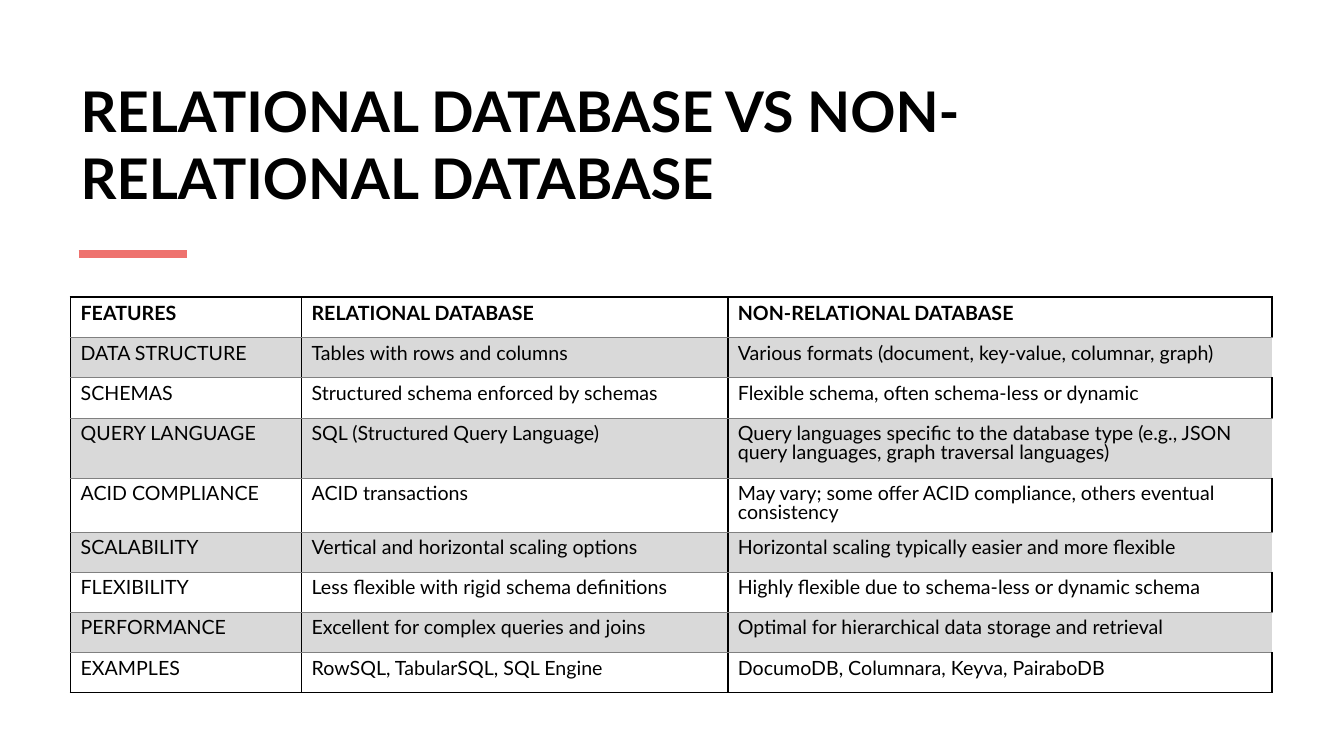
import pptx
import pptx.util
import pptx.dml.color
import pptx.enum.shapes
import pptx.enum.text
import pptx.oxml
import pptx.oxml.ns

Pt = pptx.util.Pt
COLORS = {"text": "000000", "accent": "EE726E", "band": "D9D9D9", "rule": "808080"}
NO_STYLE = "{2D5ABB26-0587-4C30-8999-92F81FD0307C}"


def write(frame, text, size, bold=False, spacing=None):
    frame.word_wrap = True
    para = frame.paragraphs[0]
    para.alignment = pptx.enum.text.PP_ALIGN.LEFT
    if spacing:
        para.line_spacing = Pt(spacing)
    span = para.add_run()
    span.text = text
    span.font.name = "Lato"
    span.font.size = Pt(size)
    span.font.bold = bold
    span.font.color.rgb = pptx.dml.color.RGBColor.from_string(COLORS["text"])


def add_border(cell, side, color, width):
    cell._tc.get_or_add_tcPr().append(pptx.oxml.parse_xml(
        f'<a:ln{side} xmlns:a="http://schemas.openxmlformats.org/drawingml/2006/main" '
        f'w="{Pt(width)}"><a:solidFill><a:srgbClr val="{COLORS[color]}"/></a:solidFill></a:ln{side}>'))


deck = pptx.Presentation()
deck.slide_width = Pt(960)
deck.slide_height = Pt(540)
page = deck.slides.add_slide(deck.slide_layouts[5])

title = page.shapes.title
title.left, title.top, title.width, title.height = Pt(50.4), Pt(44.6), Pt(857.5), Pt(109.4)
title.text_frame.auto_size = pptx.enum.text.MSO_AUTO_SIZE.NONE
title.text_frame.vertical_anchor = pptx.enum.text.MSO_ANCHOR.BOTTOM
write(title.text_frame, "RELATIONAL DATABASE VS NON-RELATIONAL DATABASE", size=40, bold=True)

accent = page.shapes.add_connector(
    pptx.enum.shapes.MSO_CONNECTOR.STRAIGHT, Pt(56.2), Pt(181.6), Pt(133.4), Pt(181.6))
accent.line.color.rgb = pptx.dml.color.RGBColor.from_string(COLORS["accent"])
accent.line.width = Pt(6)
accent._element.spPr.append(pptx.oxml.parse_xml(
    '<a:effectLst xmlns:a="http://schemas.openxmlformats.org/drawingml/2006/main"/>'))

features = [
    ("FEATURES", "RELATIONAL DATABASE", "NON-RELATIONAL DATABASE"),
    ("DATA STRUCTURE", "Tables with rows and columns",
     "Various formats (document, key-value, columnar, graph)"),
    ("SCHEMAS", "Structured schema enforced by schemas",
     "Flexible schema, often schema-less or dynamic"),
    ("QUERY LANGUAGE", "SQL (Structured Query Language)",
     "Query languages specific to the database type (e.g., JSON query languages, "
     "graph traversal languages)"),
    ("ACID COMPLIANCE", "ACID transactions",
     "May vary; some offer ACID compliance, others eventual consistency"),
    ("SCALABILITY", "Vertical and horizontal scaling options",
     "Horizontal scaling typically easier and more flexible"),
    ("FLEXIBILITY", "Less flexible with rigid schema definitions",
     "Highly flexible due to schema-less or dynamic schema"),
    ("PERFORMANCE", "Excellent for complex queries and joins",
     "Optimal for hierarchical data storage and retrieval"),
    ("EXAMPLES", "RowSQL, TabularSQL, SQL Engine", "DocumoDB, Columnara, Keyva, PairaboDB"),
]
widths = [165, 304.5, 388.5]
heights = [28.7, 28.7, 28.7, 43, 38.5, 28.7, 28.7, 28.7, 28.7]
last_row, last_column = len(heights) - 1, len(widths) - 1

table_box = page.shapes.add_table(
    len(heights), len(widths), Pt(50.4), Pt(212.4), Pt(sum(widths)), Pt(sum(heights)))
table = table_box.table
table.first_row = False
table.horz_banding = False
table._tbl.tblPr.find(pptx.oxml.ns.qn("a:tableStyleId")).text = NO_STYLE
for column, width in zip(table.columns, widths):
    column.width = Pt(width)

for row_index, (height, values) in enumerate(zip(heights, features)):
    table.rows[row_index].height = Pt(height)
    banded = row_index % 2 == 1
    for column_index, value in enumerate(values):
        cell = table.cell(row_index, column_index)
        cell.margin_left, cell.margin_right = Pt(7.2), Pt(4.3)
        cell.margin_top = cell.margin_bottom = Pt(5.75)
        write(cell.text_frame, value, size=14, bold=row_index == 0, spacing=13.5)
        add_border(cell, "L", "text", 1.5)
        if not (banded and column_index == last_column):
            add_border(cell, "R", "text", 1.5)
        if row_index == 0:
            add_border(cell, "T", "text", 1.5)
        if banded:
            add_border(cell, "T", "rule", 0.5)
            cell.fill.solid()
            cell.fill.fore_color.rgb = pptx.dml.color.RGBColor.from_string(COLORS["band"])
        else:
            if row_index == last_row:
                add_border(cell, "B", "text", 1.5)
            else:
                add_border(cell, "B", "rule", 0.5)
            cell.fill.background()

deck.save("out.pptx")
